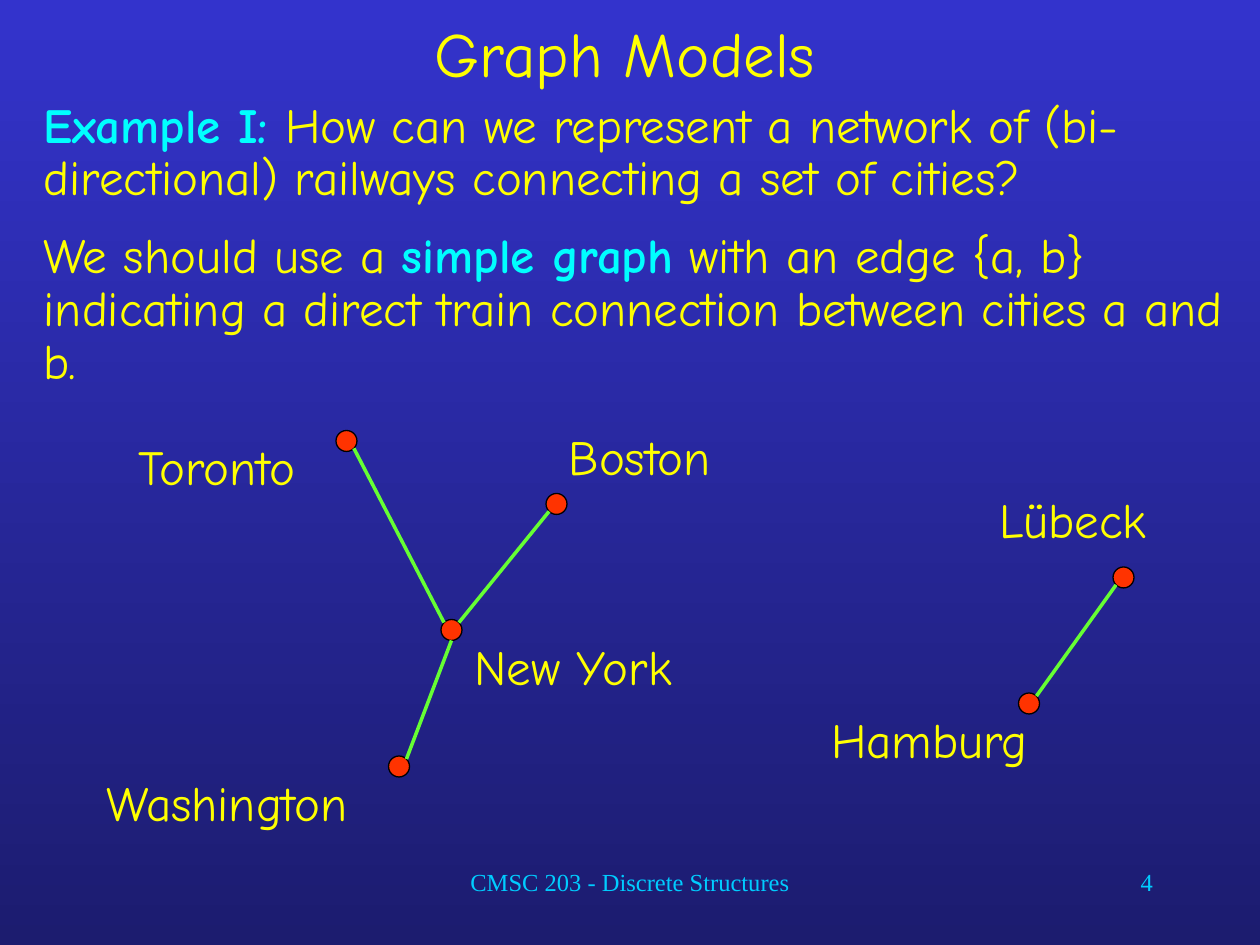
import math

import pptx
import pptx.dml.color
import pptx.enum.shapes
import pptx.enum.text
import pptx.util
from lxml import etree

CELL = pptx.util.Inches(1) // 12  # the slide is a grid of 120 columns and 90 rows
YELLOW, CYAN, FOOTER_BLUE = "FFFF00", "00FFFF", "00CCFF"
HAND, SERIF = "Comic Neue", "Times New Roman"
ALIGN = pptx.enum.text.PP_ALIGN


def color(value):
    return pptx.dml.color.RGBColor.from_string(value)


def write(box, paragraphs, size=28, font=HAND, ink=YELLOW, align=ALIGN.LEFT,
          anchor=pptx.enum.text.MSO_ANCHOR.TOP, spacing=None, gap=0):
    """Fill a box with paragraphs, each a list of texts; every second text is a bold cyan term."""
    frame = box.text_frame
    frame.auto_size = pptx.enum.text.MSO_AUTO_SIZE.NONE
    frame.word_wrap = True
    frame.vertical_anchor = anchor
    for index, texts in enumerate(paragraphs):
        para = frame.add_paragraph() if index else frame.paragraphs[0]
        para.alignment = align
        para.line_spacing = spacing
        para.space_before = pptx.util.Pt(gap if index else 0)
        for position, text in enumerate(texts):
            is_term = position % 2 == 1
            span = para.add_run()
            span.text = text
            span.font.name = font
            span.font.size = pptx.util.Pt(size)
            span.font.bold = is_term
            span.font.color.rgb = color(CYAN if is_term else ink)


deck = pptx.Presentation()
deck.slide_width, deck.slide_height = 120 * CELL, 90 * CELL
page = deck.slides.add_slide(deck.slide_layouts[5])

background = page.background.fill
background.gradient()
background.gradient_angle = 270
for stop, place, shade in zip(background.gradient_stops, (0, 1), ("3333CC", "1C1C6F")):
    stop.position = place
    stop.color.rgb = color(shade)

title = page.shapes.title
title.left, title.top, title.width, title.height = 3 * CELL, 0, 113 * CELL, 10 * CELL
write(title, [["Graph Models"]], size=36, align=ALIGN.CENTER,
      anchor=pptx.enum.text.MSO_ANCHOR.MIDDLE)

body = page.shapes.add_textbox(3 * CELL, 9 * CELL, 115 * CELL, 29 * CELL)
write(body, [
    ["", "Example I: ", "How can we represent a network of (bi-directional) railways "
     "connecting a set of cities?"],
    ["We should use a ", "simple graph", " with an edge {a, b} indicating a direct train "
     "connection between cities a and b."],
], spacing=0.9, gap=14)

for text, column, width, align in (("CMSC 203 - Discrete Structures", 34, 52, ALIGN.CENTER),
                                   ("4", 86, 25, ALIGN.RIGHT)):
    footer = page.shapes.add_textbox(column * CELL, 82 * CELL, width * CELL, 6 * CELL)
    write(footer, [[text]], size=14, font=SERIF, ink=FOOTER_BLUE, align=align)

# City: centre of its node, then left, top and width of its label
cities = {
    "New York": ((43, 60), (44, 60, 25)),
    "Boston": ((53, 48), (53, 40, 21)),
    "Washington": ((38, 73), (9, 73, 38)),
    "Lübeck": ((107, 55), (94, 46, 26)),
    "Toronto": ((33, 42), (12, 41, 27)),
    "Hamburg": ((98, 67), (78, 67, 24)),
}
for city, ((column, row), (left, top, width)) in cities.items():
    node = page.shapes.add_shape(pptx.enum.shapes.MSO_SHAPE.FLOWCHART_CONNECTOR,
                                 (column - 1) * CELL, (row - 1) * CELL, 2 * CELL, 2 * CELL)
    node.shadow.inherit = False
    node.fill.solid()
    node.fill.fore_color.rgb = color("FF3300")
    node.line.color.rgb = color("000000")
    node.line.width = pptx.util.Pt(0.75)
    label = page.shapes.add_textbox(left * CELL, top * CELL, width * CELL, round(6.8 * CELL))
    write(label, [[city]])

# Railway: the two cities and the angle, clockwise from the right, where it leaves each node
railways = (
    ("Toronto", 45, "New York", 225),
    ("New York", 315, "Boston", 135),
    ("New York", 90, "Washington", 315),
    ("Hamburg", 315, "Lübeck", 135),
)
for start, start_angle, end, end_angle in railways:
    ends = []
    for city, angle in ((start, start_angle), (end, end_angle)):
        column, row = cities[city][0]
        turn = math.radians(angle)
        ends += [round((column + math.cos(turn)) * CELL), round((row + math.sin(turn)) * CELL)]
    railway = page.shapes.add_connector(pptx.enum.shapes.MSO_CONNECTOR.STRAIGHT, *ends)
    railway.line.color.rgb = color("66FF33")
    railway.line.width = pptx.util.Pt(2)
    etree.SubElement(railway._element.spPr,
                     "{http://schemas.openxmlformats.org/drawingml/2006/main}effectLst")

deck.save("out.pptx")
